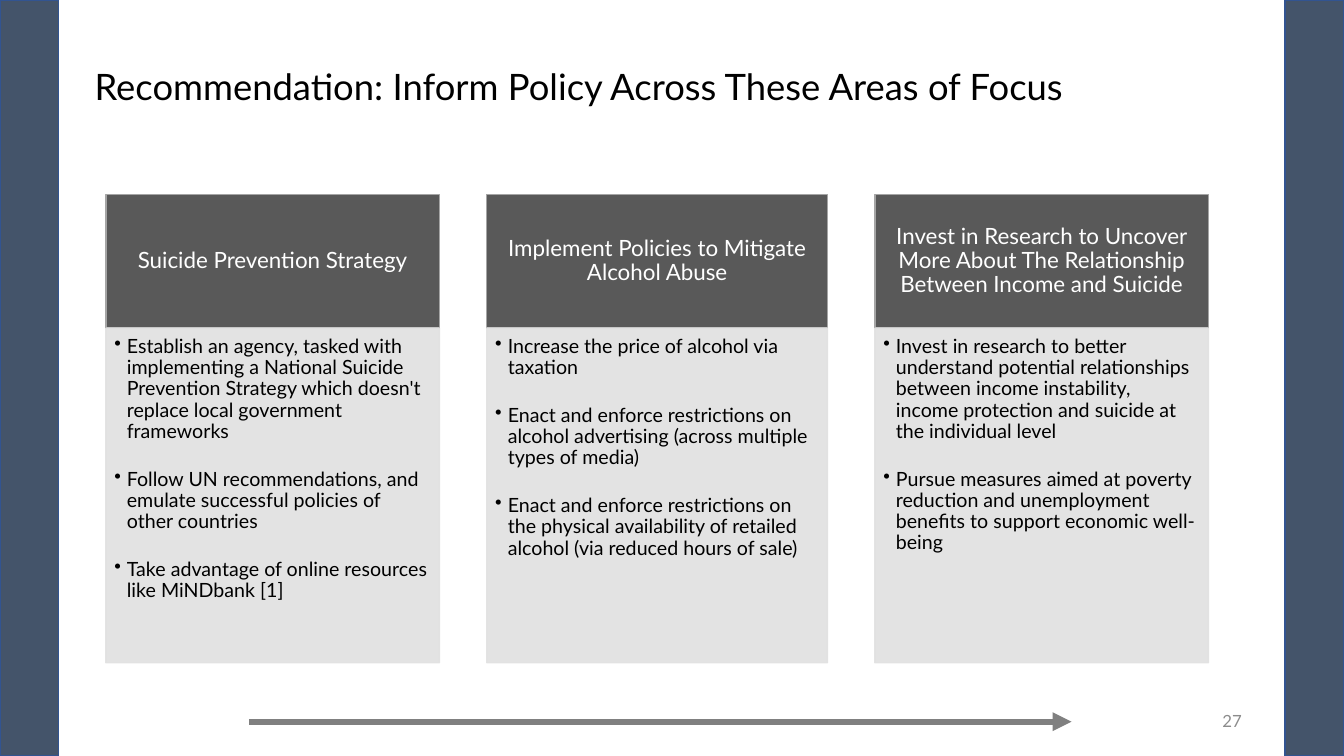
from dataclasses import dataclass

import pptx
import pptx.dml.color
import pptx.enum.shapes
import pptx.enum.text
import pptx.oxml
import pptx.oxml.ns
import pptx.util

Pt = pptx.util.Pt
Anchor = pptx.enum.text.MSO_ANCHOR
Align = pptx.enum.text.PP_ALIGN
qn = pptx.oxml.ns.qn


@dataclass(frozen=True)
class Theme:
    font: str = "Lato"
    black: str = "000000"
    white: str = "FFFFFF"
    band: str = "44546A"
    band_line: str = "325491"
    header: str = "595959"
    header_line: str = "A5A5A5"
    body: str = "E1E1E1"
    arrow: str = "808080"
    number: str = "8C8C8C"
    title_size: float = 26
    header_size: float = 16
    bullet_size: float = 14
    number_size: float = 12


THEME = Theme()
SLIDE_W, SLIDE_H = 960, 540
BAND_W = 42
CARDS_LEFT, CARD_GAP = 75.6, 33.8
HEADER_TOP, HEADER_H = 139, 95.4
BODY_H = 239

# Each area of focus: width, heading, measures
AREAS = [
    (238.3, "Suicide Prevention Strategy", [
        "Establish an agency, tasked with implementing a National Suicide Prevention "
        "Strategy which doesn't replace local government frameworks",
        "Follow UN recommendations, and emulate successful policies of other countries",
        "Take advantage of online resources like MiNDbank [1]",
    ]),
    (243.4, "Implement Policies to Mitigate Alcohol Abuse", [
        "Increase the price of alcohol via taxation",
        "Enact and enforce restrictions on alcohol advertising "
        "(across multiple types of media)",
        "Enact and enforce restrictions on the physical availability of retailed "
        "alcohol (via reduced hours of sale)",
    ]),
    (238.3, "Invest in Research to Uncover More About The Relationship "
            "Between Income and Suicide", [
        "Invest in research to better understand potential relationships between "
        "income instability, income protection and suicide at the individual level",
        "Pursue measures aimed at poverty reduction and unemployment benefits "
        "to support economic well-being",
    ]),
]


def rgb(color):
    return pptx.dml.color.RGBColor.from_string(color)


def add_rect(slide, left, top, width, height, fill, line):
    rect = slide.shapes.add_shape(pptx.enum.shapes.MSO_SHAPE.RECTANGLE,
                                  Pt(left), Pt(top), Pt(width), Pt(height))
    rect.shadow.inherit = False
    rect.fill.solid()
    rect.fill.fore_color.rgb = rgb(fill)
    rect.line.color.rgb = rgb(line)
    rect.line.width = Pt(1)
    return rect


def set_frame(frame, anchor, insets=(7.2, 3.6, 7.2, 3.6)):
    frame.word_wrap = True
    frame.vertical_anchor = anchor
    (frame.margin_left, frame.margin_top,
     frame.margin_right, frame.margin_bottom) = map(Pt, insets)


def add_run(paragraph, text, size, color):
    run = paragraph.add_run()
    run.text = text
    run.font.name = THEME.font
    run.font.size = Pt(size)
    run.font.color.rgb = rgb(color)


def add_label(slide, left, top, width, height, text, size, color, align, spacing):
    box = slide.shapes.add_textbox(Pt(left), Pt(top), Pt(width), Pt(height))
    set_frame(box.text_frame, Anchor.MIDDLE)
    paragraph = box.text_frame.paragraphs[0]
    paragraph.alignment = align
    paragraph.line_spacing = spacing
    add_run(paragraph, text, size, color)


def make_bullet(paragraph):
    properties = paragraph._p.get_or_add_pPr()
    properties.set("marL", str(Pt(9)))
    properties.set("indent", str(-Pt(9)))
    bullet = pptx.oxml.parse_xml(
        f'<a:buChar {pptx.oxml.ns.nsdecls("a")} char="•"/>')
    properties.append(bullet)


def set_opacity(rect, percent):
    for color in rect._element.spPr.iter(qn("a:srgbClr")):
        alpha = color.makeelement(qn("a:alpha"), {"val": str(percent * 1000)})
        color.append(alpha)


def add_card(slide, left, width, heading, measures):
    # Dark heading
    header = add_rect(slide, left, HEADER_TOP, width, HEADER_H,
                      THEME.header, THEME.header_line)
    set_frame(header.text_frame, Anchor.MIDDLE, (9, 5, 9, 5))
    paragraph = header.text_frame.paragraphs[0]
    paragraph.alignment = Align.CENTER
    paragraph.line_spacing = 0.9
    add_run(paragraph, heading, THEME.header_size, THEME.white)

    # Light panel with the measures
    body = add_rect(slide, left, HEADER_TOP + HEADER_H, width, BODY_H,
                    THEME.body, THEME.body)
    set_opacity(body, 90)
    frame = body.text_frame
    set_frame(frame, Anchor.TOP, (6, 6, 8, 9))
    for index, measure in enumerate(measures):
        paragraph = frame.add_paragraph() if index else frame.paragraphs[0]
        make_bullet(paragraph)
        paragraph.alignment = Align.LEFT
        paragraph.line_spacing = 0.9
        paragraph.space_after = Pt(19)
        add_run(paragraph, measure, THEME.bullet_size, THEME.black)


def add_arrow(slide, start, end, y):
    arrow = slide.shapes.add_connector(pptx.enum.shapes.MSO_CONNECTOR.STRAIGHT,
                                       Pt(start), Pt(y), Pt(end), Pt(y))
    arrow.line.color.rgb = rgb(THEME.arrow)
    arrow.line.width = Pt(4.5)
    line = arrow.line._get_or_add_ln()
    line.append(line.makeelement(qn("a:tailEnd"), {"type": "triangle"}))
    properties = arrow._element.spPr
    properties.append(properties.makeelement(qn("a:effectLst"), {}))


def main():
    deck = pptx.Presentation()
    deck.slide_width, deck.slide_height = Pt(SLIDE_W), Pt(SLIDE_H)
    slide = deck.slides.add_slide(deck.slide_layouts[6])

    # Side bands
    for left in (0, SLIDE_W - BAND_W):
        add_rect(slide, left, 0, BAND_W, SLIDE_H, THEME.band, THEME.band_line)

    # Title
    add_label(slide, 60.5, 10.8, 828, 104.4,
              "Recommendation: Inform Policy Across These Areas of Focus",
              THEME.title_size, THEME.black, Align.LEFT, 0.9)

    # Areas of focus
    left = CARDS_LEFT
    for width, heading, measures in AREAS:
        add_card(slide, left, width, heading, measures)
        left += width + CARD_GAP

    # Arrow and page number
    add_arrow(slide, 177.8, 765.4, 515.5)
    add_label(slide, 678.2, 500.4, 216, 28.8, "27",
              THEME.number_size, THEME.number, Align.RIGHT, 1.0)

    deck.save("out.pptx")


if __name__ == "__main__":
    main()
